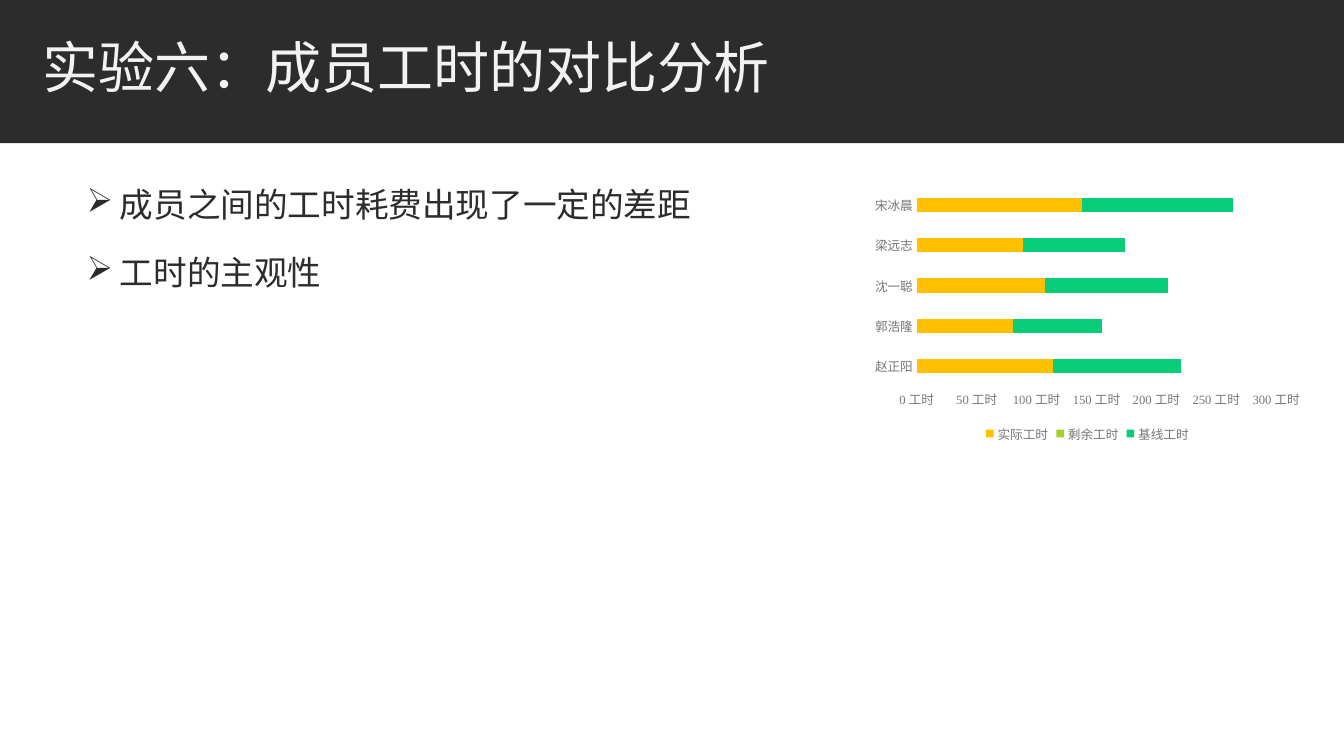
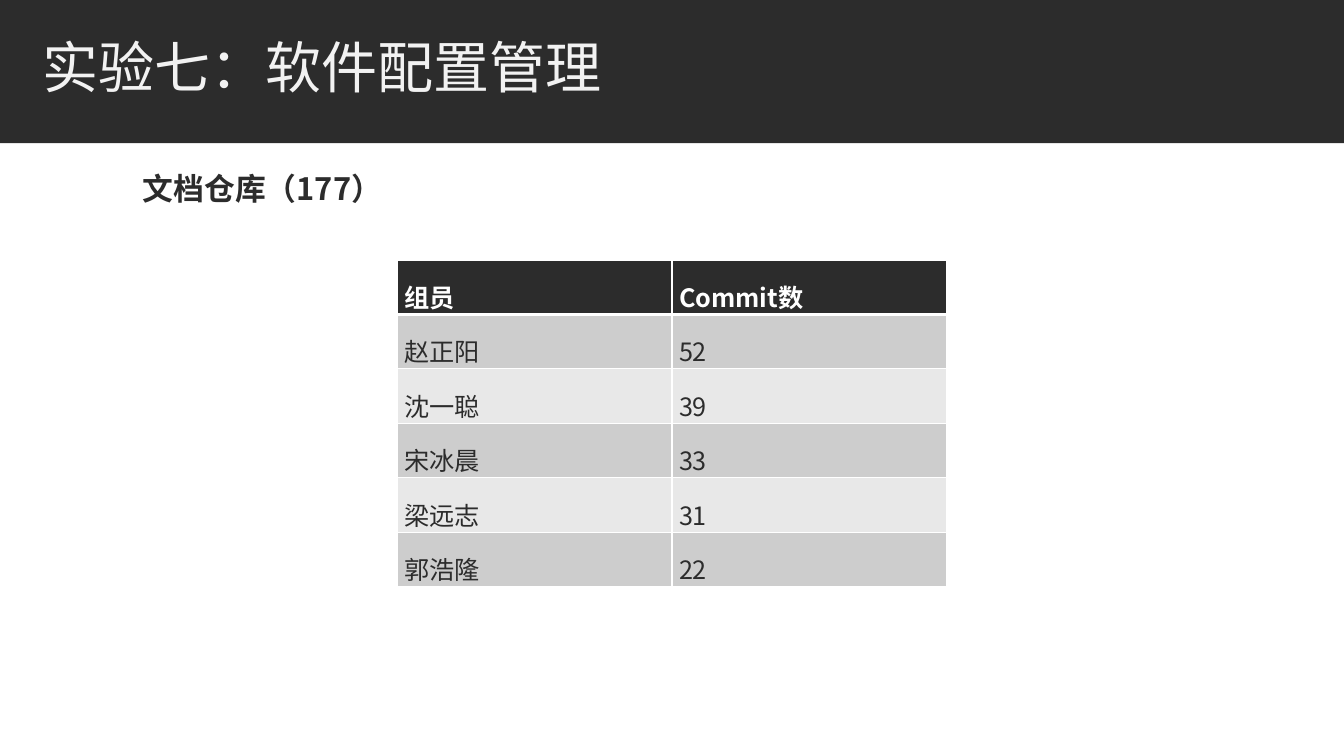
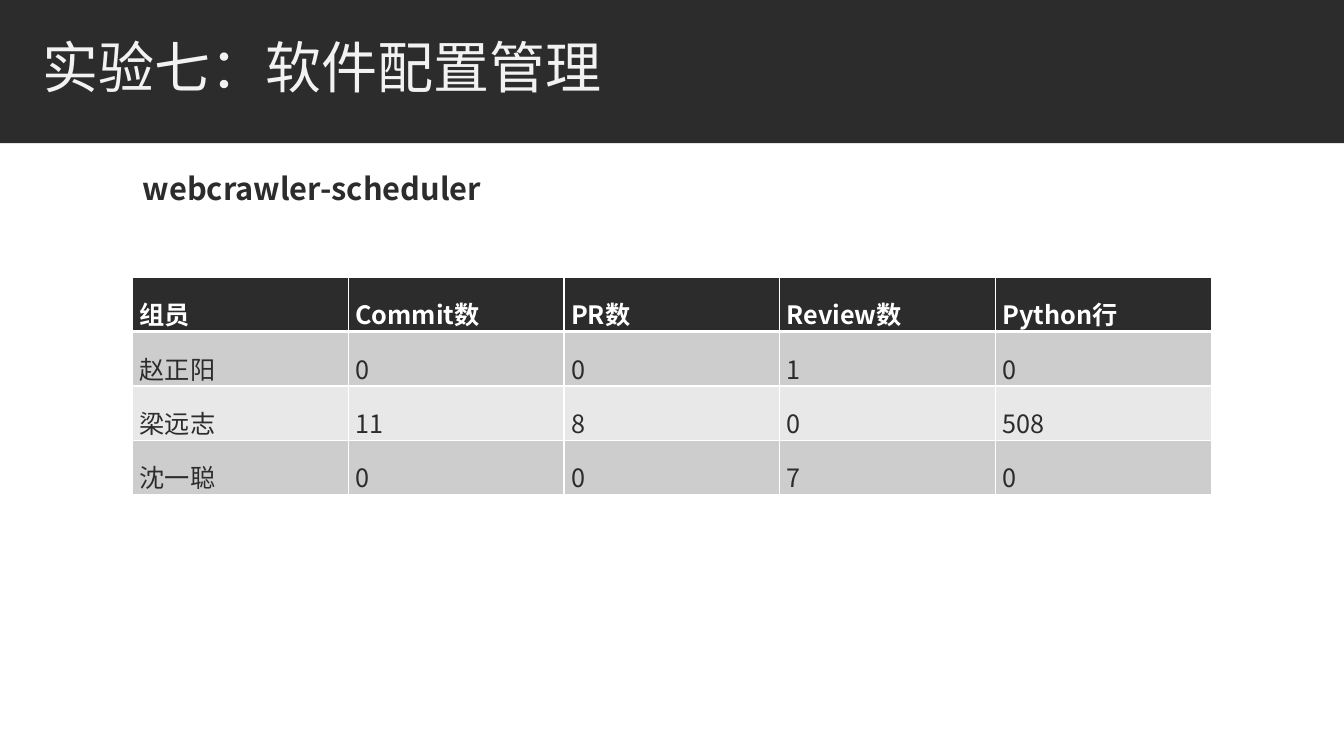
"""Build three slides on team working hours and software configuration management."""
from lxml.etree import SubElement
from pptx import Presentation
from pptx.chart.data import CategoryChartData as ChartData
from pptx.dml.color import RGBColor
from pptx.enum.chart import XL_CHART_TYPE as ChartType
from pptx.enum.chart import XL_LEGEND_POSITION as LegendPosition
from pptx.enum.chart import XL_TICK_MARK as TickMark
from pptx.enum.shapes import MSO_SHAPE as Shape
from pptx.enum.text import MSO_ANCHOR as Anchor
from pptx.oxml.ns import qn
from pptx.util import Inches, Pt

COLORS = {
    "dark": "2C2C2C",
    "title": "F2F2F2",
    "white": "FFFFFF",
    "band_dark": "CDCDCD",
    "band_light": "E8E8E8",
    "axis": "767676",
    "actual": "FFC000",
    "remaining": "A5D028",
    "baseline": "08CC78",
}
TEXT_FONT = "Noto Sans CJK SC"
CHART_FONT = "Times New Roman"
SLIDE_WIDTH = 13.33
ROW_HEIGHT = 0.54

TITLE_STYLE = {
    "font": {"size": Pt(40)},
    "para": {"line_spacing": 0.85},
    "color": "title",
}
BULLET_STYLE = {
    "font": {"size": Pt(24)},
    "para": {"line_spacing": 1.2, "space_before": Pt(12), "space_after": Pt(2)},
    "color": "dark",
}
HEADING_STYLE = {
    "font": {"size": Pt(22), "bold": True},
    "para": {"line_spacing": 0.9, "space_before": Pt(12), "space_after": Pt(2)},
    "color": "dark",
}
HEADER_CELL_STYLE = {
    "font": {"size": Pt(18), "bold": True},
    "para": {"line_spacing": 1.5},
    "color": "white",
}
BODY_CELL_STYLE = {
    "font": {"size": Pt(18), "bold": False},
    "para": {"line_spacing": 1.5},
    "color": "dark",
}


def set_values(target, values):
    for name, value in values.items():
        setattr(target, name, value)


def rgb(color):
    return RGBColor.from_string(COLORS[color])


def paint(fill, color):
    fill.solid()
    fill.fore_color.rgb = rgb(color)


def write(para, text, style):
    set_values(para, style["para"])
    span = para.add_run()
    span.text = text
    set_values(span.font, {"name": TEXT_FONT, **style["font"]})
    span.font.color.rgb = rgb(style["color"])
    SubElement(span.font._element, qn("a:ea"), typeface=TEXT_FONT)


def add_bullet(para, indent=0.33):
    properties = para._p.get_or_add_pPr()
    properties.set("marL", str(Inches(indent)))
    properties.set("indent", str(Inches(-indent)))
    color = SubElement(properties, qn("a:buClr"))
    SubElement(color, qn("a:srgbClr"), val=COLORS["dark"])
    SubElement(properties, qn("a:buChar"), char="➢")


def add_text(page, place, lines, style, anchor=Anchor.TOP, bulleted=False):
    box = page.shapes.add_textbox(*map(Inches, place))
    frame = box.text_frame
    set_values(frame, {"word_wrap": True, "vertical_anchor": anchor})
    for index, line in enumerate(lines):
        para = frame.add_paragraph() if index else frame.paragraphs[0]
        write(para, line, style)
        if bulleted:
            add_bullet(para)


def add_page(deck, title):
    page = deck.slides.add_slide(deck.slide_layouts[6])
    band = page.shapes.add_shape(Shape.RECTANGLE, 0, 0, deck.slide_width, Inches(1.42))
    band.shadow.inherit = False
    paint(band.fill, "dark")
    band.line.fill.background()
    add_text(page, (0.32, 0.26, 10.7, 0.9), [title], TITLE_STYLE, Anchor.MIDDLE)
    return page


def add_border(cell, side, width):
    line = SubElement(cell._tc.get_or_add_tcPr(), qn(f"a:ln{side}"), w=str(Pt(width)))
    fill = SubElement(line, qn("a:solidFill"))
    SubElement(fill, qn("a:srgbClr"), val=COLORS["white"])


def format_cell(cell, text, row):
    set_values(cell, {
        "margin_left": Inches(0.07),
        "margin_right": Inches(0.07),
        "margin_top": 0,
        "margin_bottom": 0,
    })
    thick_side = {0: "B", 1: "T"}.get(row)
    for side in "LRTB":
        add_border(cell, side, 3 if side == thick_side else 1)
    band = "band_dark" if row % 2 else "band_light"
    paint(cell.fill, band if row else "dark")
    style = BODY_CELL_STYLE if row else HEADER_CELL_STYLE
    write(cell.text_frame.paragraphs[0], text, style)


def add_grid(page, top, width, rows):
    left = (SLIDE_WIDTH - width) / 2
    place = (left, top, width, ROW_HEIGHT * len(rows))
    table = page.shapes.add_table(len(rows), len(rows[0]), *map(Inches, place)).table
    for row, texts in enumerate(rows):
        for column, text in enumerate(texts):
            format_cell(table.cell(row, column), text, row)


def format_chart_font(font, size, color):
    set_values(font, {"name": CHART_FONT, "size": Pt(size)})
    font.color.rgb = rgb(color)


def format_axis(axis):
    set_values(axis, {
        "has_major_gridlines": False,
        "major_tick_mark": TickMark.NONE,
        "minor_tick_mark": TickMark.NONE,
    })
    axis.format.line.fill.background()
    format_chart_font(axis.tick_labels.font, 9, "axis")


def add_hours_chart(page, place, members, hours):
    data = ChartData()
    data.categories = members
    for name, _, values in hours:
        data.add_series(name, values)
    frame = page.shapes.add_chart(ChartType.BAR_STACKED, *map(Inches, place), data)
    chart = frame.chart
    set_values(chart, {"has_title": False, "has_legend": True})
    format_chart_font(chart.font, 10, "dark")
    set_values(chart.legend, {
        "position": LegendPosition.BOTTOM,
        "include_in_layout": False,
    })
    format_chart_font(chart.legend.font, 9, "axis")
    for axis in (chart.category_axis, chart.value_axis):
        format_axis(axis)
    set_values(chart.value_axis, {
        "minimum_scale": 0,
        "maximum_scale": 300,
        "major_unit": 50,
    })
    set_values(chart.value_axis.tick_labels, {
        "number_format": '#,##0_ "工时"',
        "number_format_is_linked": False,
    })
    plot = chart.plots[0]
    set_values(plot, {"gap_width": 182, "overlap": 100, "vary_by_categories": False})
    for series, (_, color, _) in zip(plot.series, hours):
        paint(series.format.fill, color)


def add_hours_page(deck):
    page = add_page(deck, "实验六：成员工时的对比分析")
    findings = ["成员之间的工时耗费出现了一定的差距", "工时的主观性"]
    add_text(page, (0.76, 1.7, 10.02, 5.45), findings, BULLET_STYLE, bulleted=True)
    members = ["赵正阳", "郭浩隆", "沈一聪", "梁远志", "宋冰晨"]
    hours = [
        ("实际工时", "actual", (114, 80, 107, 89, 138)),
        ("剩余工时", "remaining", (0, 0, 0, 0, 0)),
        ("基线工时", "baseline", (107, 75, 103, 85, 126)),
    ]
    add_hours_chart(page, (8.59, 1.78, 4.39, 2.65), members, hours)


def add_repository_page(deck, heading, top, width, rows):
    page = add_page(deck, "实验七：软件配置管理")
    add_text(page, (1.32, 1.68, 10.7, 0.9), [heading], HEADING_STYLE)
    add_grid(page, top, width, rows)


def main():
    deck = Presentation()
    set_values(deck, {"slide_width": Inches(SLIDE_WIDTH), "slide_height": Inches(7.5)})
    add_hours_page(deck)
    add_repository_page(deck, "文档仓库（177）", 2.58, 5.45, [
        ("组员", "Commit数"),
        ("赵正阳", "52"),
        ("沈一聪", "39"),
        ("宋冰晨", "33"),
        ("梁远志", "31"),
        ("郭浩隆", "22"),
    ])
    add_repository_page(deck, "webcrawler-scheduler", 2.75, 10.7, [
        ("组员", "Commit数", "PR数", "Review数", "Python行"),
        ("赵正阳", "0", "0", "1", "0"),
        ("梁远志", "11", "8", "0", "508"),
        ("沈一聪", "0", "0", "7", "0"),
    ])
    deck.save("out.pptx")


if __name__ == "__main__":
    main()
